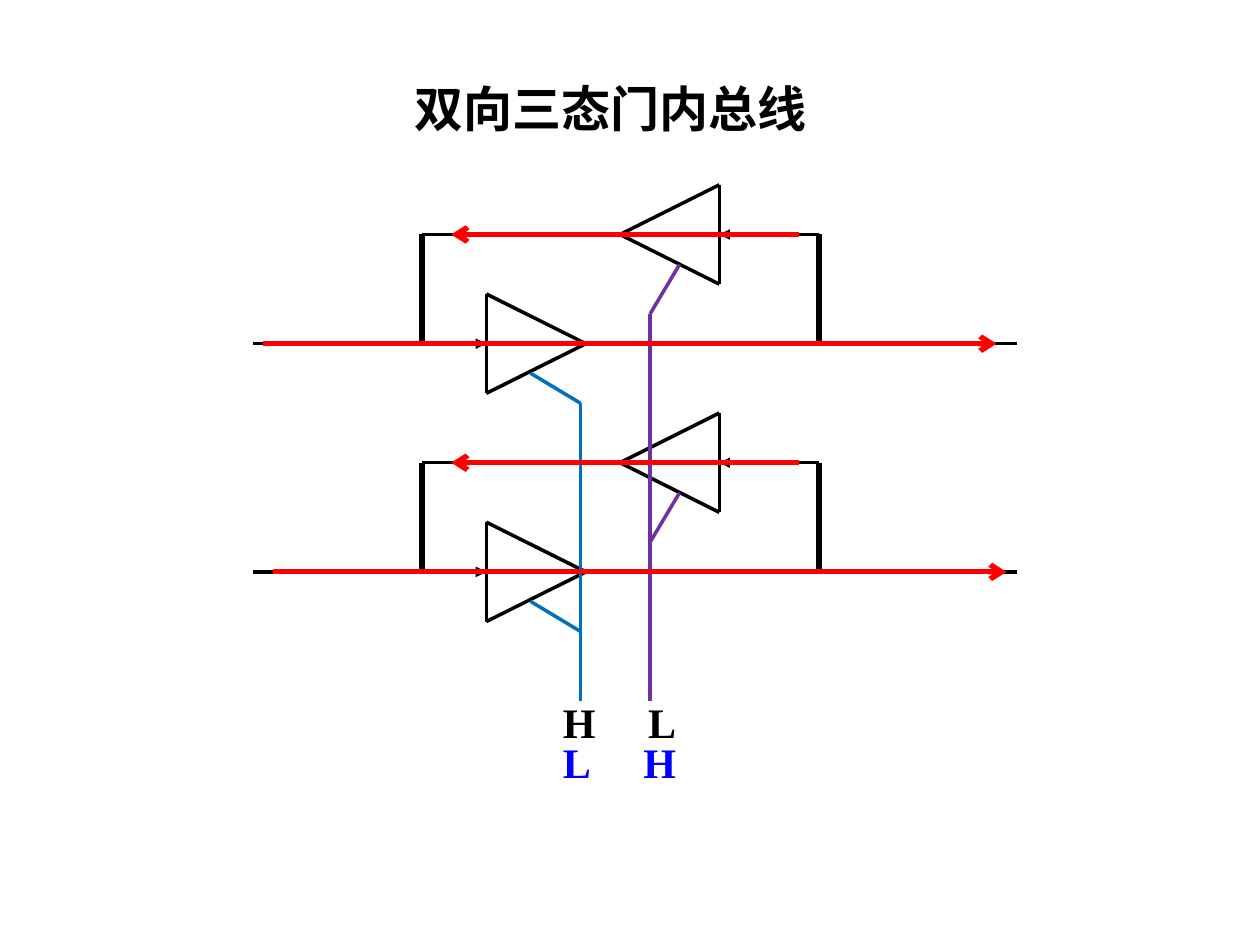
from pptx import Presentation
from pptx.util import Pt
from pptx.dml.color import RGBColor as RGB
from pptx.enum.shapes import MSO_CONNECTOR as CONN
from pptx.enum.text import MSO_ANCHOR as ANCHOR, PP_ALIGN as ALIGN
from pptx.oxml.ns import qn
from lxml.etree import SubElement as sub

INK = {"black": "000000", "blue": "0070C0", "violet": "7030A0",
       "red": "FF0000", "label": "0000FF"}


def wire(home, x1, y1, x2, y2, ink="black", wide=2, tip=None):
    link = home.add_connector(CONN.STRAIGHT, Pt(x1), Pt(y1), Pt(x2), Pt(y2))
    link.line.color.rgb = RGB.from_string(INK[ink])
    link.line.width = Pt(wide)
    props = link.element.spPr
    if tip:
        sub(props.find(qn("a:ln")), qn("a:tailEnd"), type=tip)
    sub(props, qn("a:effectLst"))


def write(para, text, face, size, ink):
    run = para.add_run()
    run.text = text
    looks = {"name": face, "size": Pt(size), "bold": True}
    for key, value in looks.items():
        setattr(run.font, key, value)
    run.font.color.rgb = RGB.from_string(INK[ink])
    sub(run.font._element, qn("a:ea"), typeface=face)


deck = Presentation()
deck.slide_width, deck.slide_height = Pt(720), Pt(540)
slide = deck.slides.add_slide(deck.slide_layouts[5])
shapes = slide.shapes

title = shapes.title
place = {"left": 229.7, "top": 41, "width": 244, "height": 41}
for key, value in place.items():
    setattr(title, key, Pt(value))
frame = title.text_frame
frame.word_wrap = True
frame.vertical_anchor = ANCHOR.MIDDLE
para = frame.paragraphs[0]
para.alignment = ALIGN.LEFT
write(para, "双向三态门内总线", "Noto Sans CJK SC", 28, "black")

HALF = 28.4
STEP = 130.4
RISE = 62.4
LOW = 196.4
LEFT, RIGHT = 241.2, 468
rows = [LOW, LOW + STEP]

gates = shapes.add_group_shape().shapes
for low in rows:
    high = low - RISE
    for back, tip, y in [(277.9, 334.8, low), (411.1, 354.3, high)]:
        wire(gates, back, y - HALF, back, y + HALF)
        for edge in (-HALF, HALF):
            wire(gates, back, y + edge, tip, y)
    wire(gates, 144.7, low, 277.9, low, tip="triangle")
    wire(gates, 334.8, low, 581, low)
    wire(gates, 354.3, high, LEFT, high)
    wire(gates, RIGHT, high, 411.1, high, tip="triangle")
    for x in (RIGHT, LEFT):
        wire(gates, x, high, x, low, wide=3)

controls = [("blue", 303.2, 213.3, 331.7, 230.4),
            ("violet", 388.3, 151.2, 371.5, 179.4)]
for ink, x1, y1, x2, y2 in controls:
    group = shapes.add_group_shape().shapes
    wire(group, x2, y2, x2, 400.5, ink)
    for drop in (0, STEP):
        wire(group, x1, y1 + drop, x2, y2 + drop, ink)

for text, top, stop, ink in [("L\tH", 417.6, 46, "label"),
                             ("H\tL", 394.6, 48.7, "black")]:
    box = shapes.add_textbox(Pt(314.6), Pt(top), Pt(80), Pt(36))
    box.text_frame.word_wrap = True
    para = box.text_frame.paragraphs[0]
    tabs = sub(para._p.get_or_add_pPr(), qn("a:tabLst"))
    sub(tabs, qn("a:tab"), pos=str(int(Pt(stop))), algn="l")
    write(para, text, "Times New Roman", 24, ink)

for low, start in zip(rows, (150.5, 156.2)):
    wire(shapes, start, low, start + 419, low, "red", 3, "arrow")
for low in rows:
    wire(shapes, 456.5, low - RISE, 257.8, low - RISE, "red", 3, "arrow")

deck.save("out.pptx")
